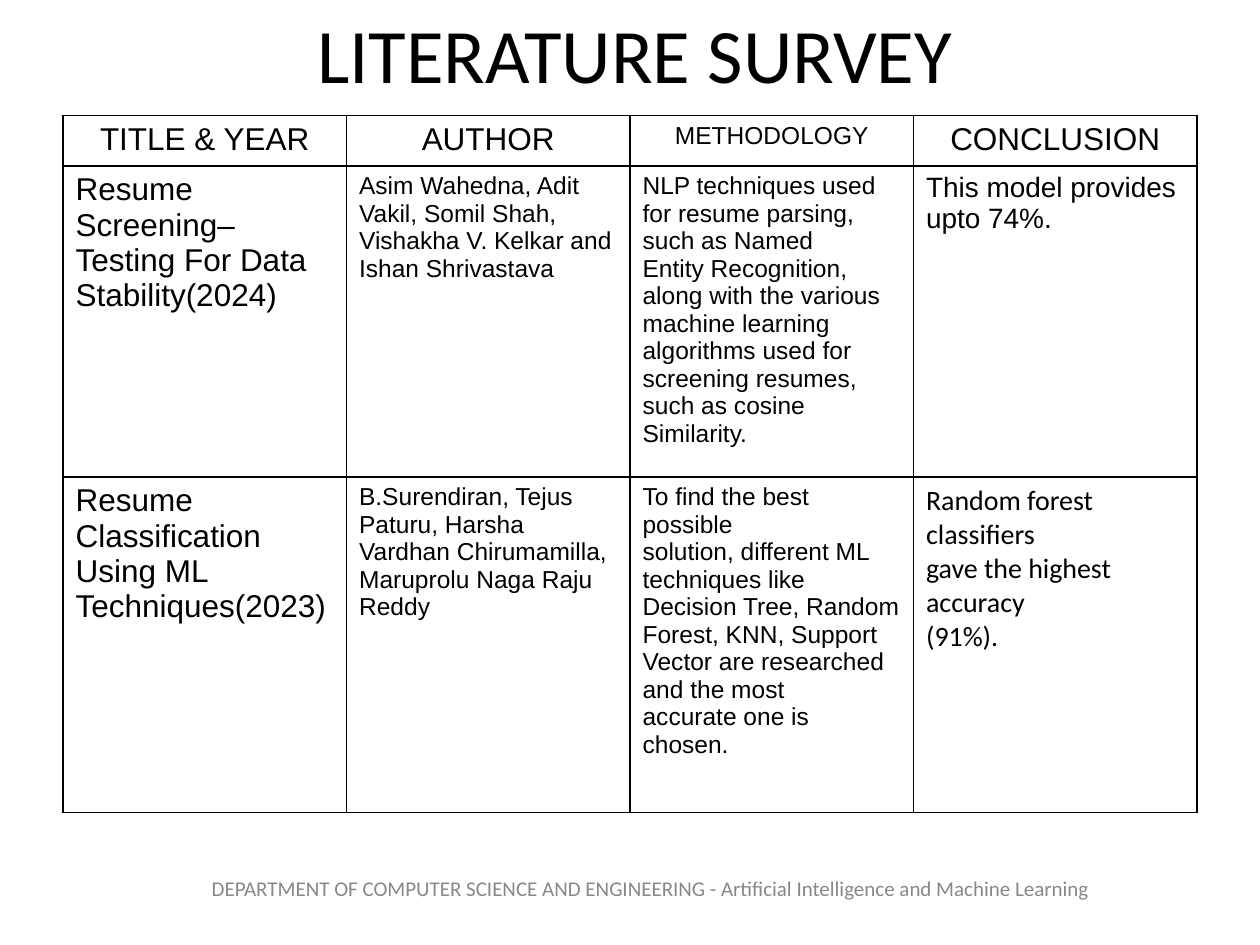
from lxml.etree import SubElement
from pptx import Presentation
from pptx.dml.color import RGBColor
from pptx.enum.text import MSO_ANCHOR, PP_ALIGN
from pptx.oxml.ns import qn
from pptx.util import Cm, Pt

COLOURS = {"ink": "000000", "muted": "888888", "paper": "FFFFFF"}
HEADINGS = [("TITLE & YEAR", 18), ("AUTHOR", 18), ("METHODOLOGY", 14), ("CONCLUSION", 18)]
STUDIES = [
    [
        (["Resume Screening–Testing For Data Stability(2024)"], 18, "Arial"),
        (["Asim Wahedna, Adit Vakil, Somil Shah, Vishakha V. Kelkar and Ishan Shrivastava"], 14, "Arial"),
        ([
            "NLP techniques used for resume parsing, such as Named",
            "Entity Recognition, along with the various machine learning",
            "algorithms used for screening resumes, such as cosine",
            "Similarity.",
        ], 14, "Arial"),
        (["This model provides upto 74%."], 16, "Arial"),
    ],
    [
        (["Resume Classification Using ML Techniques(2023)"], 18, "Arial"),
        (["B.Surendiran, Tejus Paturu, Harsha Vardhan Chirumamilla, Maruprolu Naga Raju Reddy"], 14, "Arial"),
        ([
            "To find the best possible",
            "solution, different ML techniques like Decision Tree, Random",
            "Forest, KNN, Support Vector are researched and the most",
            "accurate one is chosen.",
        ], 14, "Arial"),
        (["Random forest classifiers", "gave the highest accuracy", "(91%)."], 16, "Calibri"),
    ],
]


class SurveySlide:
    def __init__(self, deck):
        self.page = deck.slides.add_slide(deck.slide_layouts[5])
        self.page.background.fill.solid()
        self.page.background.fill.fore_color.rgb = RGBColor.from_string(COLOURS["paper"])

    def apply(self, target, values):
        for name, value in values.items():
            setattr(target, name, value)

    def paragraphs(self, frame, lines, size, font, colour="ink", align=PP_ALIGN.LEFT):
        for index, line in enumerate(lines):
            para = frame.paragraphs[0] if index == 0 else frame.add_paragraph()
            para.alignment = align
            span = para.add_run()
            span.text = line
            self.apply(span.font, {"size": Pt(size), "name": font, "bold": False})
            span.font.color.rgb = RGBColor.from_string(COLOURS[colour])

    def title(self, text):
        box = self.page.shapes.title
        self.apply(box, {"left": Cm(0), "top": Cm(-0.53), "width": Cm(22.86), "height": Cm(3.18)})
        self.apply(box.text_frame, {"margin_left": Cm(3), "vertical_anchor": MSO_ANCHOR.MIDDLE})
        self.paragraphs(box.text_frame, [text], 44, "Calibri", align=PP_ALIGN.CENTER)

    def footer(self, text):
        box = self.page.shapes.add_textbox(Cm(3.38), Cm(17.65), Cm(19.48), Cm(1.02))
        self.apply(box.text_frame, {"word_wrap": True, "margin_top": Cm(0), "vertical_anchor": MSO_ANCHOR.TOP})
        self.paragraphs(box.text_frame, [text], 12, "Calibri", "muted", PP_ALIGN.CENTER)

    def border(self, cell):
        properties = cell._tc.get_or_add_tcPr()
        for side in ("lnL", "lnR", "lnT", "lnB"):
            line = SubElement(properties, qn(f"a:{side}"), w=str(Pt(1)))
            fill = SubElement(line, qn("a:solidFill"))
            SubElement(fill, qn("a:srgbClr"), val=COLOURS["ink"])

    def table(self, rows, heights):
        count = len(rows[0])
        width = Cm(5.715)
        frame = self.page.shapes.add_table(
            len(rows), count, Cm(1.27), Cm(2.33), width * count, Cm(sum(heights)))
        grid = frame.table
        self.apply(grid, {"first_row": False, "horz_banding": False})
        for column in grid.columns:
            column.width = width
        for number, (row, height) in enumerate(zip(rows, heights)):
            grid.rows[number].height = Cm(height)
            align = PP_ALIGN.CENTER if number == 0 else PP_ALIGN.LEFT
            for cell, (lines, size, font) in zip(grid.rows[number].cells, row):
                self.border(cell)
                cell.fill.background()
                self.paragraphs(cell.text_frame, lines, size, font, align=align)


def main():
    deck = Presentation()
    deck.slide_width, deck.slide_height = Cm(25.4), Cm(19.05)
    survey = SurveySlide(deck)
    survey.footer("DEPARTMENT OF COMPUTER SCIENCE AND ENGINEERING - Artificial Intelligence and Machine Learning")
    survey.title("LITERATURE SURVEY")
    header = [([text], size, "Arial") for text, size in HEADINGS]
    survey.table([header] + STUDIES, [0.94, 6.27, 6.76])
    deck.save("out.pptx")


if __name__ == "__main__":
    main()
